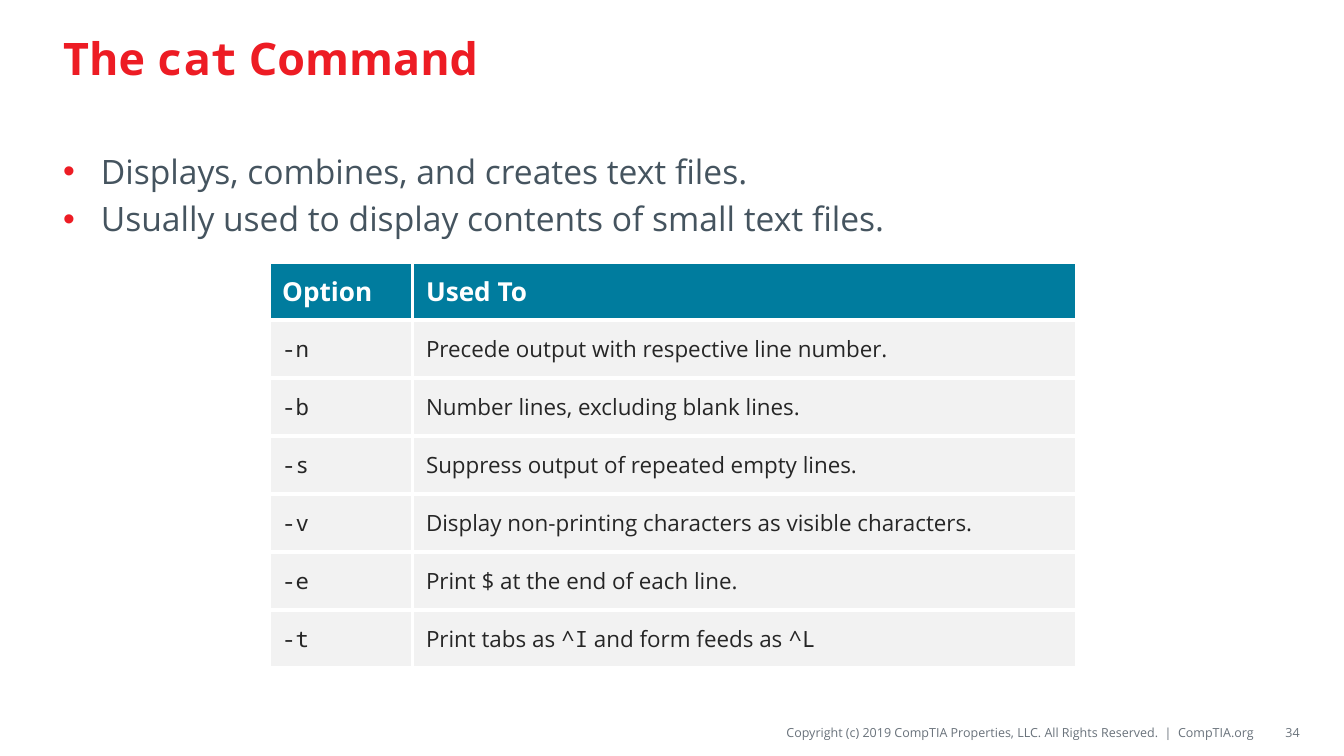
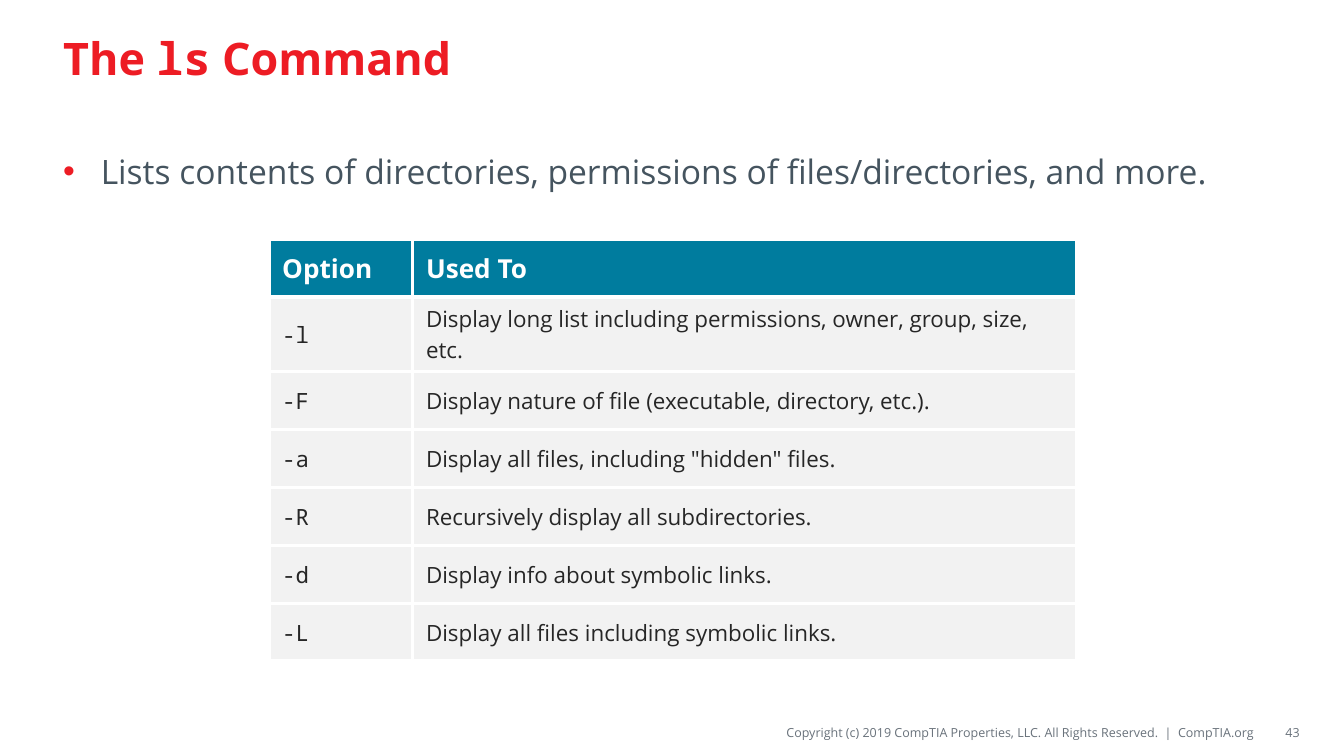
import pptx
import pptx.dml.color
import pptx.enum.text
import pptx.oxml
import pptx.oxml.ns
import pptx.util

RED = pptx.dml.color.RGBColor(0xED, 0x1C, 0x24)
SLATE = pptx.dml.color.RGBColor(0x45, 0x54, 0x5F)
GRAY = pptx.dml.color.RGBColor(0x69, 0x72, 0x7B)
TEAL = pptx.dml.color.RGBColor(0x00, 0x7C, 0x9E)
PALE = pptx.dml.color.RGBColor(0xF2, 0xF2, 0xF2)
INK = pptx.dml.color.RGBColor(0x26, 0x26, 0x26)
WHITE = pptx.dml.color.RGBColor(0xFF, 0xFF, 0xFF)
SANS = "Open Sans"
MONO = "Noto Sans Mono"
NAMESPACE = pptx.oxml.ns.nsdecls("a")
COPYRIGHT = "Copyright (c) 2019 CompTIA Properties, LLC. All Rights Reserved.  |  CompTIA.org"

inches = pptx.util.Inches
points = pptx.util.Pt
MIDDLE = pptx.enum.text.MSO_ANCHOR.MIDDLE
LEFT = pptx.enum.text.PP_ALIGN.LEFT
RIGHT = pptx.enum.text.PP_ALIGN.RIGHT

MARGIN = 0.37
CONTENT_WIDTH = 9.25
FOOTER_TOP = 5.34
FOOTER_HEIGHT = 0.22
TABLE_LEFT = 2
TABLE_HEIGHT = 3.02
COLUMN_WIDTHS = (1.07, 4.94)

COMMANDS = [
    {
        "title": "The `cat` Command",
        "number": "34",
        "bullets": [
            "Displays, combines, and creates text files.",
            "Usually used to display contents of small text files.",
        ],
        "table_top": 1.95,
        "options": [
            ("`-n`", "Precede output with respective line number."),
            ("`-b`", "Number lines, excluding blank lines."),
            ("`-s`", "Suppress output of repeated empty lines."),
            ("`-v`", "Display non-printing characters as visible characters."),
            ("`-e`", "Print $ at the end of each line."),
            ("`-t`", "Print tabs as `^I` and form feeds as `^L`"),
        ],
    },
    {
        "title": "The `ls` Command",
        "number": "43",
        "bullets": ["Lists contents of directories, permissions of files/directories, and more."],
        "table_top": 1.78,
        "options": [
            ("`-l`", "Display long list including permissions, owner, group, size, etc."),
            ("`-F`", "Display nature of file (executable, directory, etc.)."),
            ("`-a`", 'Display all files, including "hidden" files.'),
            ("`-R`", "Recursively display all subdirectories."),
            ("`-d`", "Display info about symbolic links."),
            ("`-L`", "Display all files including symbolic links."),
        ],
    },
]


def write_text(paragraph, text, size, color, bold=False, align=LEFT, space_before=0):
    """Fill a paragraph; parts between backticks are set in the monospaced font."""
    paragraph.alignment = align
    paragraph.space_before = points(space_before)
    for index, part in enumerate(text.split("`")):
        if part:
            run = paragraph.add_run()
            run.text = part
            run.font.name = MONO if index % 2 else SANS
            run.font.size = points(size)
            run.font.bold = bold
            run.font.color.rgb = color


def add_footer(slide, text, left, width, inset):
    box = slide.shapes.add_textbox(
        inches(left), inches(FOOTER_TOP), inches(width), inches(FOOTER_HEIGHT))
    frame = box.text_frame
    frame.word_wrap = True
    frame.vertical_anchor = MIDDLE
    frame.margin_left = inches(inset)
    frame.margin_right = 0
    frame.margin_top = frame.margin_bottom = inches(0.04)
    write_text(frame.paragraphs[0], text, size=6.75, color=GRAY, align=RIGHT)


presentation = pptx.Presentation()
presentation.slide_width = inches(10)
presentation.slide_height = presentation.slide_width * 9 // 16
layout = presentation.slide_layouts[1]

for command in COMMANDS:
    slide = presentation.slides.add_slide(layout)
    title, body = slide.placeholders
    for placeholder, top, height in ((title, 0.08, 0.69), (body, 1.07, 3.9)):
        placeholder.left, placeholder.top = inches(MARGIN), inches(top)
        placeholder.width, placeholder.height = inches(CONTENT_WIDTH), inches(height)
        placeholder.text_frame.auto_size = pptx.enum.text.MSO_AUTO_SIZE.NONE

    title.text_frame.vertical_anchor = MIDDLE
    write_text(title.text_frame.paragraphs[0], command["title"], size=24, color=RED, bold=True)

    for index, bullet in enumerate(command["bullets"]):
        frame = body.text_frame
        paragraph = frame.add_paragraph() if index else frame.paragraphs[0]
        properties = paragraph._p.get_or_add_pPr()
        properties.set("marL", str(inches(0.28)))
        properties.set("indent", str(-inches(0.28)))
        for markup in (
            f'<a:buClr {NAMESPACE}><a:srgbClr val="{RED}"/></a:buClr>',
            f'<a:buFont {NAMESPACE} typeface="Arial"/>',
            f'<a:buChar {NAMESPACE} char="•"/>',
        ):
            properties.append(pptx.oxml.parse_xml(markup))
        write_text(paragraph, bullet, size=18, color=SLATE, space_before=4 if index else 0)

    rows = [("Option", "Used To")] + command["options"]
    table = slide.shapes.add_table(
        len(rows), len(COLUMN_WIDTHS), inches(TABLE_LEFT), inches(command["table_top"]),
        inches(sum(COLUMN_WIDTHS)), inches(TABLE_HEIGHT)).table
    table.horz_banding = False
    for column, width in zip(table.columns, COLUMN_WIDTHS):
        column.width = inches(width)
    for row_index, row in enumerate(rows):
        is_header = row_index == 0
        for column_index, text in enumerate(row):
            cell = table.cell(row_index, column_index)
            cell.vertical_anchor = MIDDLE
            properties = cell._tc.get_or_add_tcPr()
            for side in "LRTB":
                properties.append(pptx.oxml.parse_xml(
                    f'<a:ln{side} {NAMESPACE} w="{points(2.25)}"><a:solidFill>'
                    f'<a:srgbClr val="{WHITE}"/></a:solidFill></a:ln{side}>'))
            cell.fill.solid()
            cell.fill.fore_color.rgb = TEAL if is_header else PALE
            write_text(
                cell.text_frame.paragraphs[0], text, size=14 if is_header else 12,
                color=WHITE if is_header else INK, bold=is_header)

    add_footer(slide, COPYRIGHT, left=3.87, width=5.47, inset=0)
    add_footer(slide, command["number"], left=9.38, width=0.29, inset=0.1)

presentation.save("out.pptx")
